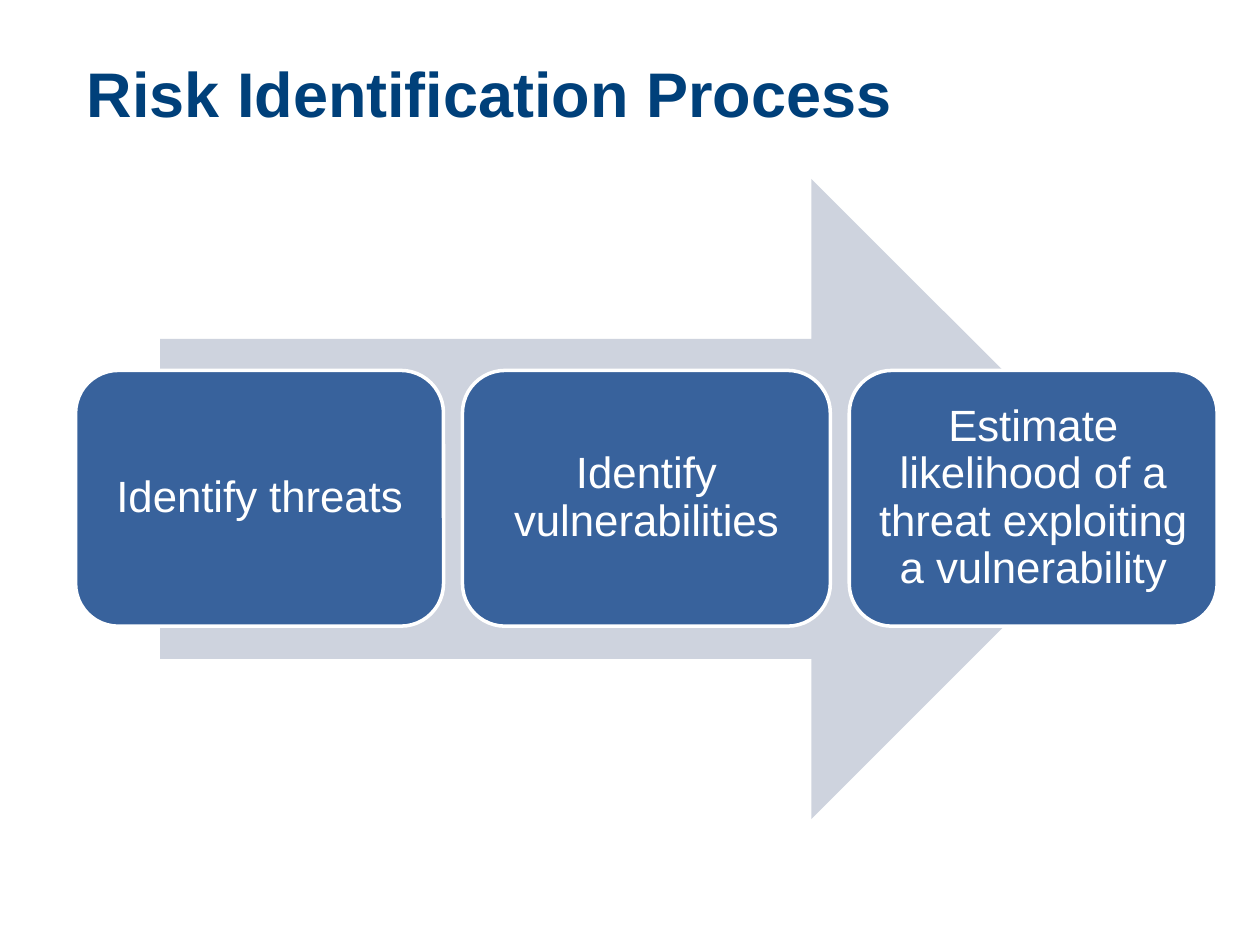
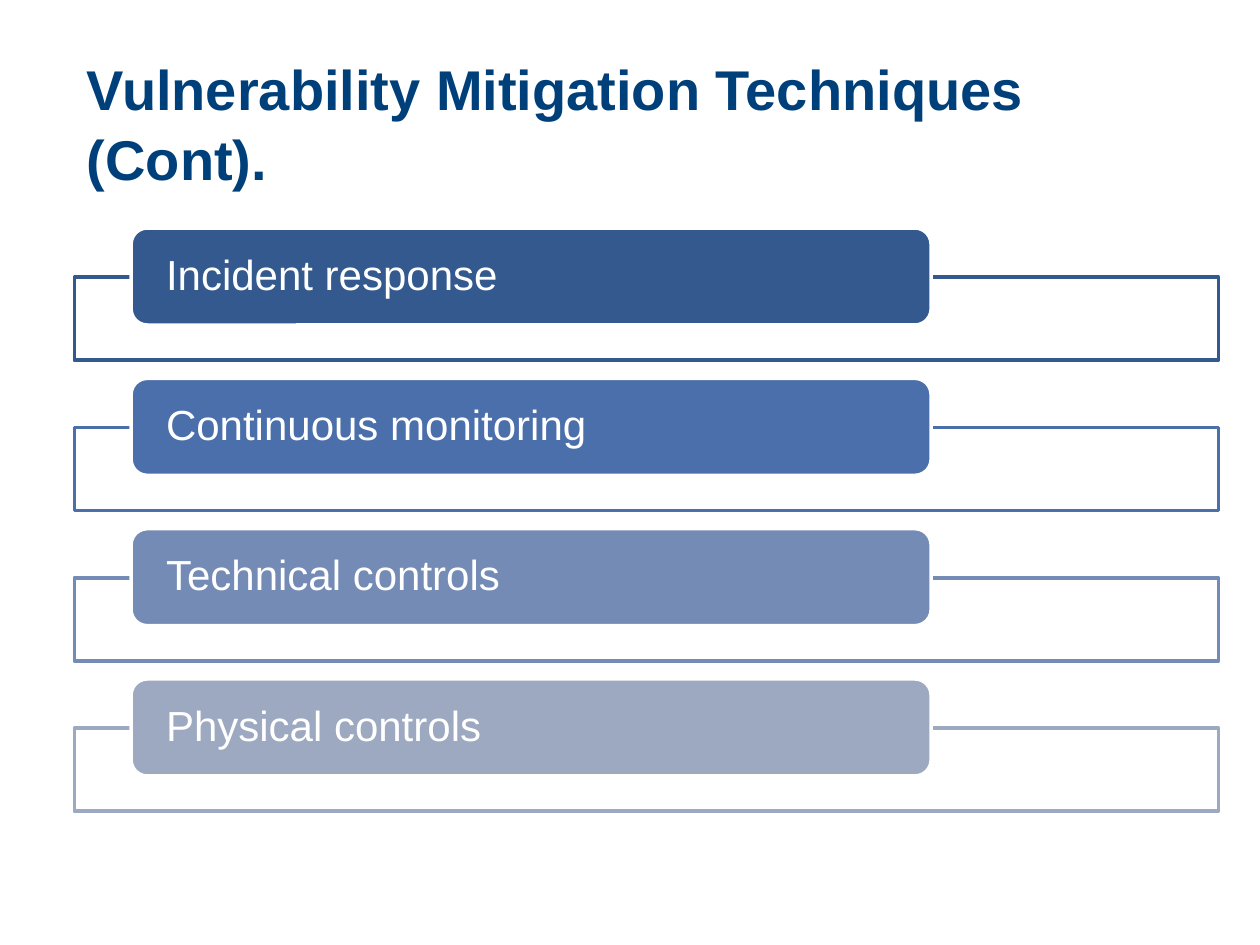
from lxml import etree
from pptx import Presentation
from pptx.dml.color import RGBColor
from pptx.enum.shapes import MSO_SHAPE as Shape
from pptx.enum.text import MSO_ANCHOR as Anchor, PP_ALIGN as Align
from pptx.oxml.ns import qn
from pptx.util import Inches, Pt

FONT = "Arial"
COLORS = {
    "title": "00407A",
    "white": "FFFFFF",
    "arrow": "CED3DE",
    "step": "38629C",
    "incident": "33598E",
    "monitoring": "4B6FAA",
    "technical": "748BB5",
    "physical": "9DA8C1",
}


def add_title(slide, text, size):
    title = slide.shapes.add_textbox(Inches(0.59), Inches(0.33), Inches(9.08), Inches(1.08))
    frame = title.text_frame
    frame.word_wrap = True
    frame.margin_top = Inches(0.08)
    frame.text = text
    paragraph = frame.paragraphs[0]
    paragraph.line_spacing = 1.04
    font = paragraph.runs[0].font
    font.name, font.size, font.bold = FONT, Pt(size), True
    font.color.rgb = RGBColor.from_string(COLORS["title"])


def add_block(slide, preset, box, fill, line=None, text="", size=24, align=Align.LEFT, margins=(0, 0)):
    """Add a filled shape; margins are the side and the top/bottom text insets."""
    block = slide.shapes.add_shape(preset, *[Inches(length) for length in box])
    block.shadow.inherit = False
    block.fill.solid()
    block.fill.fore_color.rgb = RGBColor.from_string(COLORS[fill])
    if line:
        block.line.color.rgb = RGBColor.from_string(COLORS[line])
        block.line.width = Pt(2)
    else:
        block.line.fill.background()
    if text:
        frame = block.text_frame
        frame.word_wrap = True
        frame.vertical_anchor = Anchor.MIDDLE
        frame.margin_left = frame.margin_right = Inches(margins[0])
        frame.margin_top = frame.margin_bottom = Inches(margins[1])
        frame.text = text
        paragraph = frame.paragraphs[0]
        paragraph.alignment = align
        paragraph.line_spacing = 0.9
        font = paragraph.runs[0].font
        font.name, font.size = FONT, Pt(size)
        font.color.rgb = RGBColor.from_string(COLORS["white"])
    return block


prs = Presentation()
prs.slide_width, prs.slide_height = Inches(10), Inches(7.5)
blank = prs.slide_layouts[6]

# Risk identification: three steps along an arrow
process = prs.slides.add_slide(blank)
add_title(process, "Risk Identification Process", 36)
add_block(process, Shape.RIGHT_ARROW, (1.27, 1.42, 7.71, 5.08), "arrow")
steps = [
    "Identify threats",
    "Identify vulnerabilities",
    "Estimate likelihood of a threat exploiting a vulnerability",
]
for column, step in enumerate(steps):
    add_block(process, Shape.ROUNDED_RECTANGLE, (0.6 + 3.07 * column, 2.94, 2.92, 2.03),
              "step", "white", step, 25, Align.CENTER, (0.1, 0.1))

# Mitigation techniques: a label over an open frame in each row
mitigation = prs.slides.add_slide(blank)
add_title(mitigation, "Vulnerability Mitigation Techniques (Cont).", 32)
techniques = [
    ("Incident response", "incident"),
    ("Continuous monitoring", "monitoring"),
    ("Technical controls", "technical"),
    ("Physical controls", "physical"),
]
for row, (technique, color) in enumerate(techniques):
    top = 1.81 + 1.193 * row
    panel = add_block(mitigation, Shape.RECTANGLE, (0.59, top + 0.39, 9.08, 0.66), "white", color)
    panel_color = panel.fill._xPr.find(qn("a:solidFill"))[0]
    etree.SubElement(panel_color, qn("a:alpha"), val="90000")
    add_block(mitigation, Shape.ROUNDED_RECTANGLE, (1.04, top, 6.35, 0.77),
              color, "white", technique, margins=(0.24, 0))

prs.save("out.pptx")
